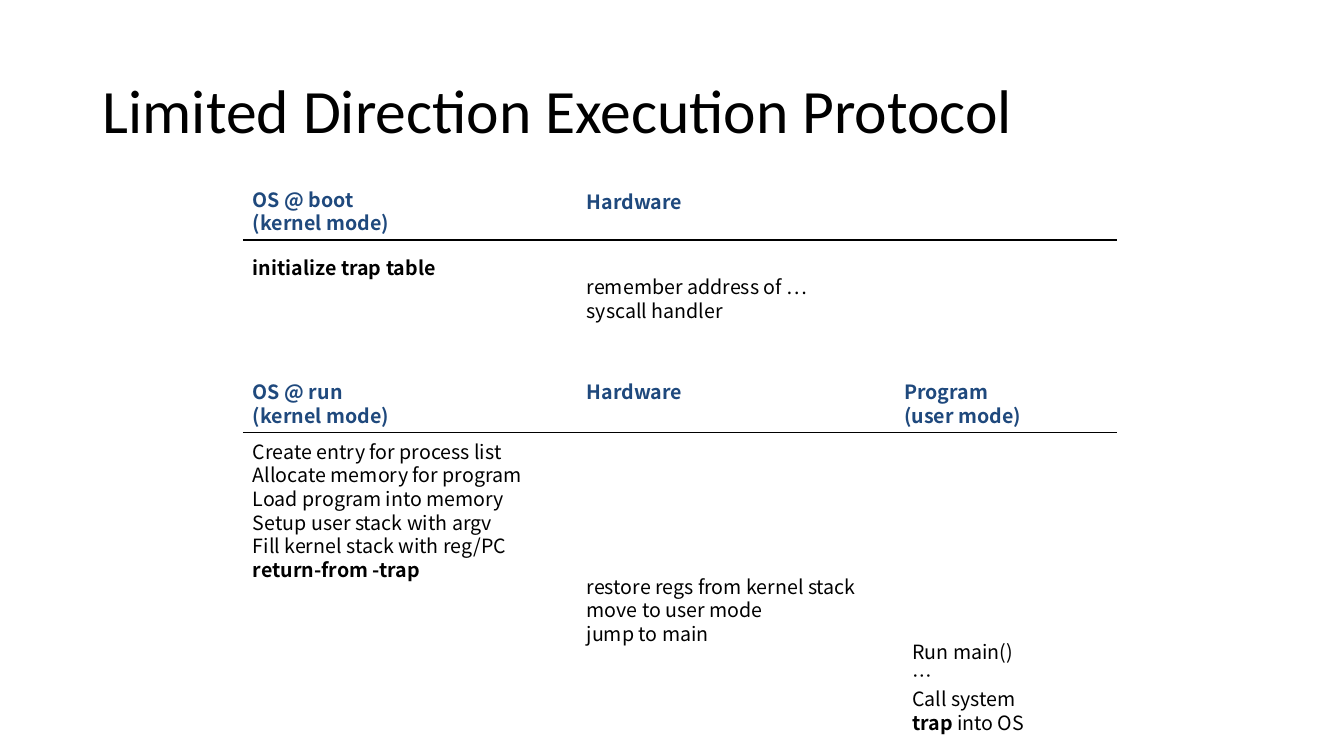
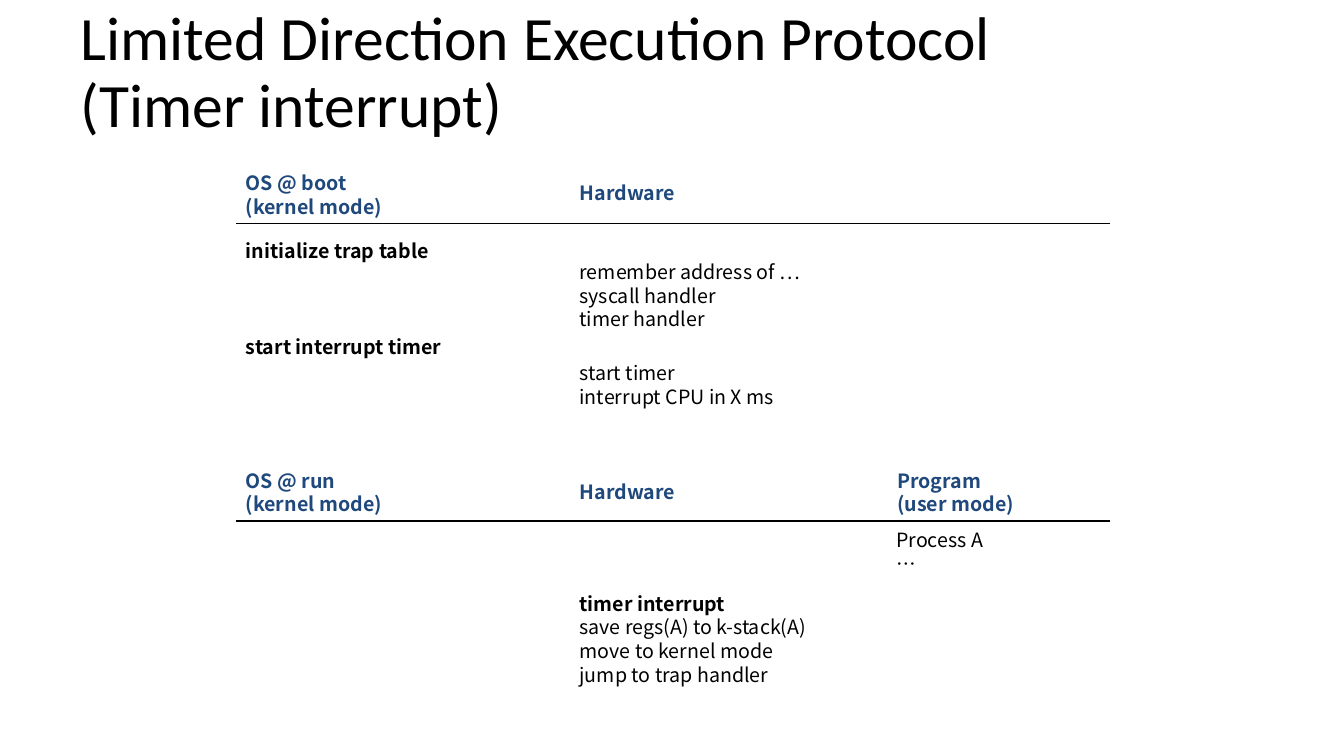
from pptx import Presentation
from pptx import util as u
from pptx.dml.color import RGBColor
from pptx.enum import shapes, text
from pptx.oxml import parse_xml
from pptx.oxml.ns import nsdecls

PX = 9144  # EMU per px, 100 px to the inch
BLACK = RGBColor(0x00, 0x00, 0x00)
NAVY = RGBColor(0x1F, 0x49, 0x7D)
TITLE_FONT = "Calibri"
BODY_FONT = "Noto Sans CJK KR"
BODY_SIZE = 14
LINE_PITCH = 16.9
COLUMNS = (0, 331, 646)
RULE_WIDTH = 867
HEADER_HEIGHT = 57
HARDWARE = "Hardware"
PROGRAM = ("Program", "(user mode)")


class Deck:
    def __init__(self):
        self.prs = Presentation()
        self.prs.slide_width = 1333 * PX
        self.prs.slide_height = 750 * PX

    def slide(self, title, x, y, left):
        """Start a slide with its title at x, y and its first column at left."""
        self.s = self.prs.slides.add_slide(self.prs.slide_layouts[5])
        self.left = left
        sp = self.s.shapes.title
        sp.left, sp.top, sp.width, sp.height = (v * PX for v in (x, y, 1150, 145))
        tf = sp.text_frame
        tf.text = title
        tf.word_wrap = True
        tf.auto_size = text.MSO_AUTO_SIZE.NONE
        tf.vertical_anchor = text.MSO_ANCHOR.MIDDLE
        p = tf.paragraphs[0]
        p.alignment = text.PP_ALIGN.LEFT
        p.line_spacing = 0.9
        for r in p.runs:
            self.font(r, TITLE_FONT, 44, BLACK)

    def font(self, r, name, size, color, bold=False):
        r.font.name = name
        r.font.size = u.Pt(size)
        r.font.color.rgb = color
        r.font.bold = bold

    def steps(self, column, top, *lines, width=299, shift=0, color=BLACK):
        """Write lines in a column; text between ** marks is bold."""
        x = self.left + COLUMNS[column] + shift
        height = 10 + round(23.5 * len(lines))
        sp = self.s.shapes.add_textbox(x * PX, top * PX, width * PX, height * PX)
        tf = sp.text_frame
        tf.word_wrap = True
        tf.auto_size = text.MSO_AUTO_SIZE.SHAPE_TO_FIT_TEXT
        for i, line in enumerate(lines):
            p = tf.add_paragraph() if i else tf.paragraphs[0]
            p.line_spacing = u.Pt(LINE_PITCH)
            for k, part in enumerate(line.split("**")):
                if part:
                    r = p.add_run()
                    r.text = part
                    self.font(r, BODY_FONT, BODY_SIZE, color, k % 2 == 1)

    def heading(self, column, top, *lines):
        bold = (f"**{line}**" for line in lines)
        self.steps(column, top, *bold, width=189, color=NAVY)

    def section(self, top, phase, hardware_top, program=()):
        """Column headings with a rule below them."""
        self.heading(0, top, f"OS @ {phase}", "(kernel mode)")
        self.heading(1, hardware_top, HARDWARE)
        if program:
            self.heading(2, top, *program)
        y = (top + HEADER_HEIGHT) * PX
        c = self.s.shapes.add_connector(
            shapes.MSO_CONNECTOR.STRAIGHT,
            self.left * PX, y, (self.left + RULE_WIDTH) * PX, y)
        c.line.color.rgb = BLACK
        c.line.width = u.Pt(1)
        c._element.spPr.append(parse_xml(f"<a:effectLst {nsdecls('a')}/>"))


def main():
    d = Deck()

    d.slide("Limited Direction Execution Protocol", 92, 40, left=241)
    d.section(181, "boot", 183)
    d.steps(0, 249, "**initialize trap table**")
    d.steps(1, 268, "remember address of …", "syscall handler")
    d.section(372, "run", 372, PROGRAM)
    d.steps(0, 431, "Create entry for process list", "Allocate memory for program",
            "Load program into memory", "Setup user stack with argv",
            "Fill kernel stack with reg/PC", "**return-from -trap**")
    d.steps(1, 565, "restore regs from kernel stack", "move to user mode",
            "jump to main")
    d.steps(2, 630, "Run main()", "…", "Call system", "**trap** into OS",
            width=252, shift=8)

    d.slide("Limited Direction Execution Protocol \v(Timer interrupt)", 70, 1, left=234)
    d.section(165, "boot", 174)
    d.steps(0, 232, "**initialize trap table**")
    d.steps(1, 253, "remember address of …", "syscall handler", "timer handler")
    d.steps(0, 327, "**start interrupt timer**")
    d.steps(1, 353, "start timer", "interrupt CPU in X ms")
    d.section(460, "run", 471, PROGRAM)
    d.steps(2, 519, "Process A", "…", width=253, shift=-1)
    d.steps(1, 582, "**timer interrupt**", "save regs(A) to k-stack(A)",
            "move to kernel mode", "jump to trap handler")

    d.prs.save("out.pptx")


if __name__ == "__main__":
    main()
